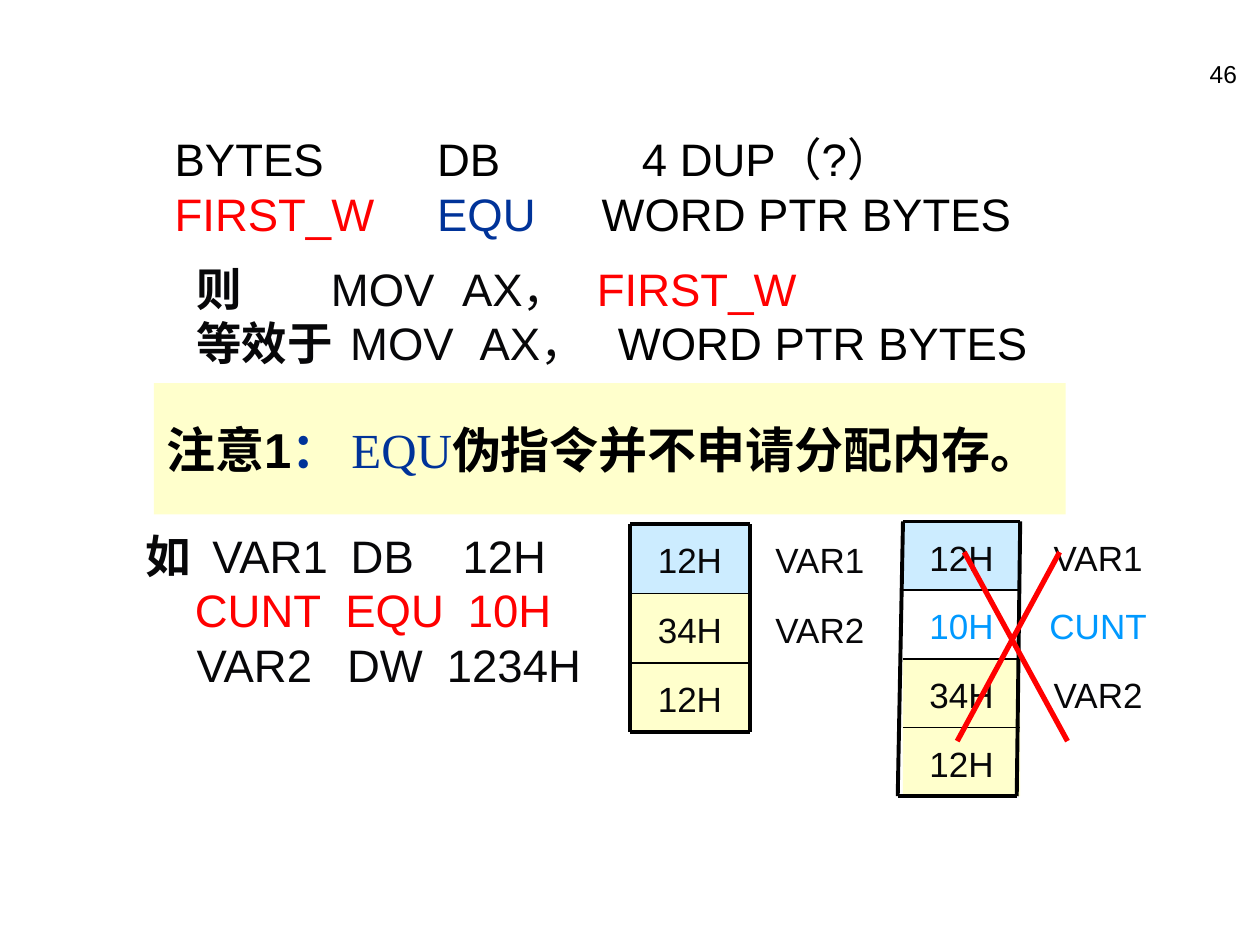
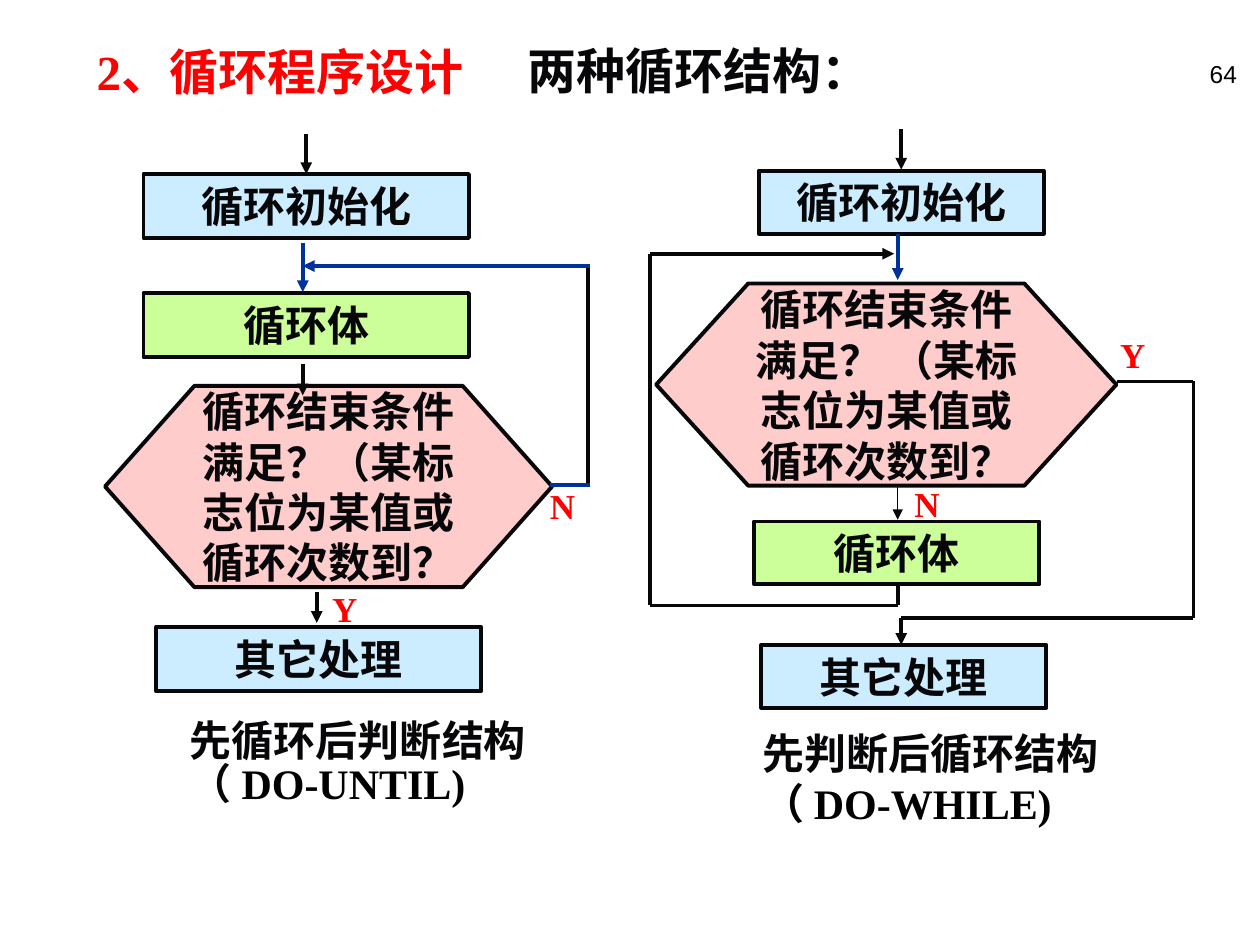
from itertools import pairwise

from lxml.etree import SubElement
from pptx import Presentation
from pptx.dml.color import RGBColor
from pptx.enum.lang import MSO_LANGUAGE_ID as Lang
from pptx.enum.shapes import MSO_CONNECTOR, MSO_SHAPE
from pptx.enum.text import MSO_ANCHOR, MSO_AUTO_SIZE, PP_ALIGN
from pptx.oxml.ns import qn
from pptx.util import Pt

BLACK = RGBColor(0, 0, 0)
INK = RGBColor(0x07, 0x07, 0x09)
RED = RGBColor(0xFF, 0, 0)
NAVY = RGBColor(0, 0x33, 0x99)
AZURE = RGBColor(0, 0x99, 0xFF)
PALE_BLUE = RGBColor(0xCC, 0xEC, 0xFF)
PALE_YELLOW = RGBColor(0xFF, 0xFF, 0xCC)
PALE_GREEN = RGBColor(0xCC, 0xFF, 0x99)
PALE_RED = RGBColor(0xFF, 0xCC, 0xCC)

SANS = "Arial"
SERIF = "Times New Roman"
TITLE_ONLY, BLANK = 5, 6
TITLE_STYLE = {"size": 28, "bold": True}
FLOW_STYLE = {"size": 24, "font": SERIF, "bold": True}
CELL_STYLE = {"size": 20, "align": PP_ALIGN.CENTER, "line_spacing": 1.2}


def set_tabs(paragraph, stops):
    tab_list = SubElement(paragraph._p.get_or_add_pPr(), qn("a:tabLst"))
    for stop in stops:
        SubElement(tab_list, qn("a:tab"), pos=str(Pt(stop)), algn="l")


def write_text(shape, lines, size=26, font=SANS, color=INK, bold=False,
               align=PP_ALIGN.LEFT, anchor=MSO_ANCHOR.TOP, inset=(7.2, 3.6),
               line_spacing=1.0, tabs=()):
    frame = shape.text_frame
    frame.word_wrap = True
    frame.auto_size = MSO_AUTO_SIZE.NONE
    frame.vertical_anchor = anchor
    frame.margin_left, frame.margin_top = map(Pt, inset)
    frame.margin_right, frame.margin_bottom = Pt(min(inset[0], 7.2)), Pt(inset[1])
    if isinstance(lines, str):
        lines = [[(lines, {})]]
    for index, line in enumerate(lines):
        paragraph = frame.paragraphs[0] if index == 0 else frame.add_paragraph()
        if tabs:
            set_tabs(paragraph, tabs[index])
        paragraph.alignment = align
        paragraph.line_spacing = line_spacing
        for words, changes in line:
            look = {"font": font, "color": color, "bold": bold} | changes
            run = paragraph.add_run()
            run.text = words
            run.font.size = Pt(size)
            run.font.name = look["font"]
            run.font.bold = look["bold"]
            run.font.color.rgb = look["color"]
            run.font.language_id = Lang.SIMPLIFIED_CHINESE


def add_label(slide, area, lines, **style):
    label = slide.shapes.add_textbox(*map(Pt, area))
    write_text(label, lines, **style)


def add_box(slide, area, lines, fill, kind=MSO_SHAPE.RECTANGLE, outline=None, **style):
    box = slide.shapes.add_shape(kind, *map(Pt, area))
    box.shadow.inherit = False
    box.fill.solid()
    box.fill.fore_color.rgb = fill
    if outline is None:
        box.line.fill.background()
    else:
        box.line.color.rgb = outline
        box.line.width = Pt(2.25)
    write_text(box, lines, **style)


def add_route(slide, *points, color=INK, width=2.25, arrow=False):
    for start, end in pairwise(points):
        segment = slide.shapes.add_connector(
            MSO_CONNECTOR.STRAIGHT, *map(Pt, start + end))
        segment.line.color.rgb = color
        segment.line.width = Pt(width)
        properties = segment._element.spPr
        SubElement(properties, qn("a:effectLst"))
        if arrow and end == points[-1]:
            SubElement(properties.find(qn("a:ln")), qn("a:tailEnd"), type="triangle")


def add_page_number(slide, number):
    add_label(slide, (564, 30, 150, 36), number, size=14, color=BLACK,
              align=PP_ALIGN.RIGHT)


def add_memory(slide, left, top, width, row, label_left, cells, lean=(0, 0)):
    right, bottom = left + width, top + row * len(cells)
    for index, (value, fill, name, color) in enumerate(cells):
        y = top + index * row
        area = (left, y, width, row)
        if fill is None:
            add_label(slide, area, value, color=color, **CELL_STYLE)
        else:
            add_box(slide, area, value, fill, color=color, **CELL_STYLE)
        if name:
            add_label(slide, (label_left, y, 89, row), name, color=color, **CELL_STYLE)
        if index:
            add_route(slide, (left, y), (right, y), color=BLACK, width=1)
    add_route(slide, (left, top), (right, top), (right - lean[1], bottom),
              (left - lean[0], bottom), (left, top), color=BLACK)


def add_step(slide, area, text, fill):
    add_box(slide, area, text, fill, outline=INK, align=PP_ALIGN.CENTER, **FLOW_STYLE)


def add_decision(slide, area, lines):
    add_box(slide, area, lines, PALE_RED, MSO_SHAPE.FLOWCHART_PREPARATION, INK,
            align=PP_ALIGN.CENTER, anchor=MSO_ANCHOR.MIDDLE, inset=(0, 0), **FLOW_STYLE)


def add_answer(slide, left, top, width, text):
    add_label(slide, (left, top, width, 31.5), text, size=20, font=SERIF, color=RED,
              bold=True, align=PP_ALIGN.CENTER)


def build_equ_slide(prs):
    slide = prs.slides.add_slide(prs.slide_layouts[BLANK])
    add_page_number(slide, "46")
    red, navy, heavy = {"color": RED}, {"color": NAVY}, {"bold": True}
    add_label(slide, (64.8, 71.3, 584, 70), [
        [("BYTES\tDB\t4 DUP（?）", {})],
        [("FIRST_W\t", red), ("EQU", navy), ("\tWORD PTR BYTES", {})],
    ], color=BLACK, anchor=MSO_ANCHOR.MIDDLE, inset=(35, 3.6),
        tabs=[(150, 267), (150, 244)])
    add_label(slide, (105, 145.5, 572, 70), [
        [("则", heavy), ("\tMOV\tAX，\t", {}), ("FIRST_W", red)],
        [("等效于", heavy), ("\tMOV\tAX，\t", {}), ("WORD PTR BYTES", {"color": BLACK})],
    ], tabs=[(77, 152, 229), (88, 162, 241)])
    add_box(slide, (88, 219, 521, 75), [[
        ("注意1", {}),
        ("： ", navy),
        ("EQU", {"color": NAVY, "font": SERIF, "bold": False}),
        ("伪指令并不申请分配内存。", {}),
    ]], PALE_YELLOW, color=BLACK, anchor=MSO_ANCHOR.MIDDLE, **TITLE_STYLE)
    add_label(slide, (76.3, 298, 354, 101), [
        [("如", heavy), ("\tVAR1\tDB\t12H", {})],
        [("\tCUNT\tEQU\t10H", red)],
        [("\tVAR2\tDW\t1234H", {})],
    ], tabs=[(38, 117, 181), (28, 114, 184), (29, 115, 172)])

    first = ("12H", PALE_BLUE, "VAR1", INK)
    rest = [("34H", PALE_YELLOW, "VAR2", INK), ("12H", PALE_YELLOW, None, INK)]
    add_memory(slide, 360, 299.5, 68.5, 39.6, 424, [first, *rest])
    add_memory(slide, 516, 298, 67, 39.25, 583,
               [first, ("10H", None, "CUNT", AZURE), *rest], lean=(3, 2))
    add_route(slide, (605.5, 315.5), (547, 423.5), color=RED, width=3)
    add_route(slide, (610, 423.5), (551, 315.5), color=RED, width=3)


def build_until_chart(slide):
    axis = 173
    add_answer(slide, 265, 273.5, 113, "N")
    add_decision(slide, (60, 220.5, 255.5, 115),
                 "循环结束条件满足？（某标志位为某值或循环次数到？")
    add_route(slide, (axis, 208), (axis, 226), arrow=True)
    add_route(slide, (181, 338.5), (181, 356), arrow=True)
    add_answer(slide, 160.5, 332, 73, "Y")
    add_step(slide, (82, 99.5, 186, 36.5), "循环初始化", PALE_BLUE)
    add_step(slide, (82, 167.5, 186, 36.5), "循环体", PALE_GREEN)
    add_step(slide, (89, 358.5, 186, 36.5), "其它处理", PALE_BLUE)
    add_route(slide, (336, 276), (336, 153))
    add_route(slide, (175, 76.5), (175, 99.5), arrow=True)
    add_label(slide, (101.5, 409, 227, 56), [[
        ("先循环后判断结构（ ", {}),
        ("DO-UNTIL)", {"color": BLACK}),
    ]], line_spacing=0.85, **FLOW_STYLE)
    add_route(slide, (314.5, 277), (337, 277), color=NAVY)
    add_route(slide, (337, 152), (axis, 152), color=NAVY, arrow=True)
    add_route(slide, (axis, 139), (axis, 167), color=NAVY, arrow=True)


def build_while_chart(slide):
    axis, entry = 513, 515
    add_step(slide, (433.5, 97.5, 163, 36), "循环初始化", PALE_BLUE)
    add_step(slide, (431, 298, 163, 36), "循环体", PALE_GREEN)
    add_step(slide, (435, 368.5, 163, 36), "其它处理", PALE_BLUE)
    add_decision(slide, (375, 162, 263, 115.5), [[
        ("循环结束条件满足？ ", {}),
        ("（某标志位为某值或循环次数到？", {"font": SANS}),
    ]])
    add_route(slide, (entry, 74), (entry, 97), arrow=True)
    add_route(slide, (axis, 134), (axis, 160), color=NAVY, arrow=True)
    add_route(slide, (axis, 278), (axis, 297), width=0.75, arrow=True)
    add_route(slide, (axis, 335), (axis, 346), (371.5, 346), (371.5, 145),
              (511, 145), arrow=True)
    add_route(slide, (638.5, 218), (682, 218), (682, 353), (entry, 353),
              (entry, 368.5), arrow=True)
    add_answer(slide, 480, 272, 99.5, "N")
    add_answer(slide, 620, 187, 54.5, "Y")
    add_label(slide, (428.5, 412, 215, 65), [[
        ("先判断后循环结构", {}),
        ("（ DO-WHILE)", {"color": BLACK}),
    ]], **FLOW_STYLE)


def build_loop_slide(prs):
    slide = prs.slides.add_slide(prs.slide_layouts[TITLE_ONLY])
    add_page_number(slide, "64")
    title = slide.shapes.title
    title.left, title.top, title.width, title.height = map(Pt, (48, 20, 246, 41))
    write_text(title, "2、循环程序设计", font=SERIF, color=RED, **TITLE_STYLE)
    add_label(slide, (294.5, 19.5, 211, 41), "两种循环结构：", **TITLE_STYLE)
    build_until_chart(slide)
    build_while_chart(slide)


def main():
    prs = Presentation()
    prs.slide_width, prs.slide_height = Pt(720), Pt(540)
    build_equ_slide(prs)
    build_loop_slide(prs)
    prs.save("out.pptx")


if __name__ == "__main__":
    main()
